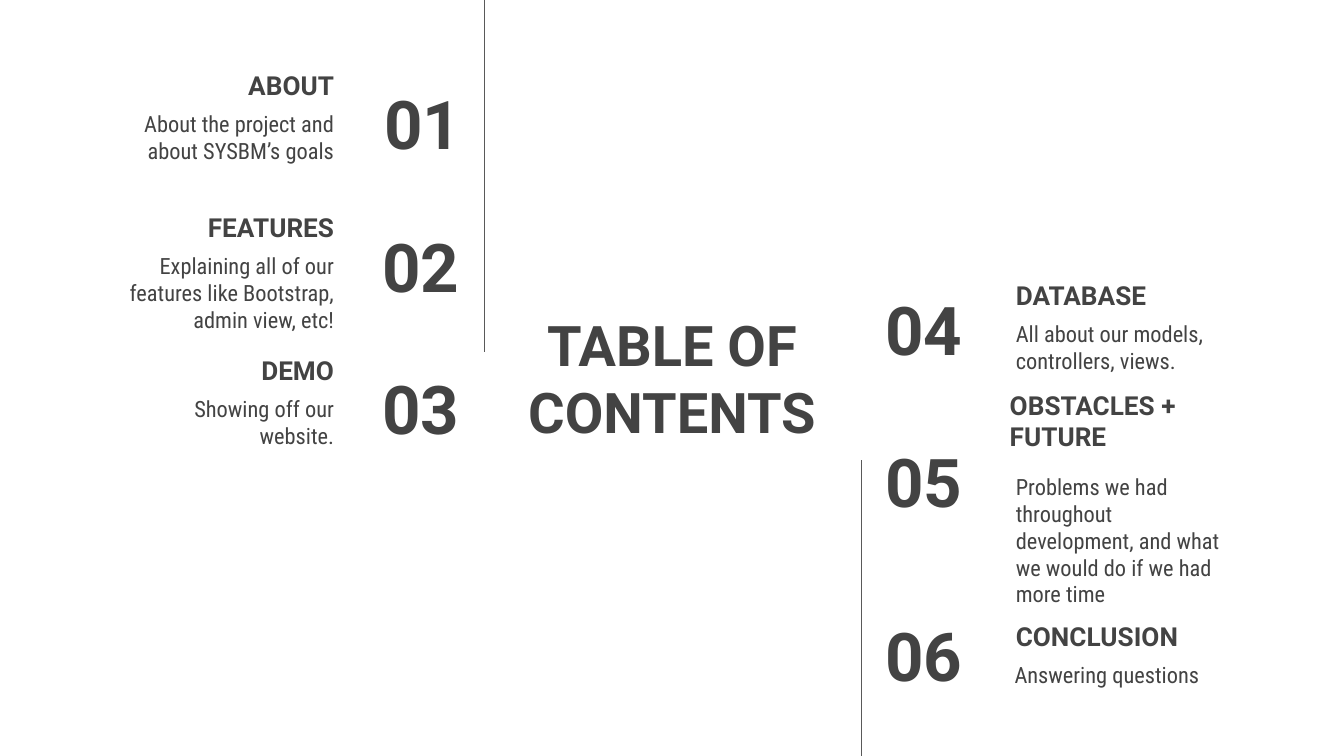
from lxml import etree
from pptx import Presentation
from pptx.dml.color import RGBColor
from pptx.enum.shapes import MSO_CONNECTOR
from pptx.enum.text import MSO_ANCHOR, MSO_AUTO_SIZE, PP_ALIGN
from pptx.oxml.ns import qn
from pptx.util import Pt

PX = 4572  # EMU per px, 200 px to the inch
WIDTH, HEIGHT = 2000, 1125
INSET = 20
BOX_HEIGHT = 126
HEADING_WIDTH = 431
DESCRIPTION_WIDTH = 362

INK = RGBColor(0x43, 0x43, 0x43)
RULE = RGBColor(0x59, 0x59, 0x59)
WHITE = RGBColor(0xFF, 0xFF, 0xFF)

LEFT_TOP, LEFT_STEP, LEFT_EDGE = 44, 212, 517
# number, heading, description, number left
LEFT_ENTRIES = [
    ("01", "ABOUT", "About the project and about SYSBM’s goals", 464),
    ("02", "FEATURES",
     "Explaining all of our features like Bootstrap, admin view, etc!", 461),
    ("03", "DEMO", "Showing off our website.", 461),
]
# number, heading, description, lefts of heading and description, then the three tops
RIGHT_ENTRIES = [
    ("04", "DATABASE", "All about our models, controllers, views.",
     1492, 1492, 426, 356, 457),
    ("05", "OBSTACLES + FUTURE",
     "Problems we had throughout development, and what we would do if we had more time",
     1483, 1492, 652, 567, 684),
    ("06", "CONCLUSION", "Answering questions", 1492, 1490, 912, 864, 964),
]


def format_text(shape, text, size, alignment, anchor, font_name="Roboto", bold=True):
    frame = shape.text_frame
    frame.text = text
    frame.word_wrap = True
    frame.auto_size = MSO_AUTO_SIZE.NONE
    frame.vertical_anchor = anchor
    frame.margin_left = frame.margin_right = INSET * PX
    frame.margin_top = frame.margin_bottom = INSET * PX
    paragraph = frame.paragraphs[0]
    paragraph.alignment = alignment
    paragraph.font.name = font_name
    paragraph.font.size = Pt(size)
    paragraph.font.bold = bold
    paragraph.font.color.rgb = INK


def add_title(slide, text):
    title = slide.shapes.title
    title.left, title.top = 741 * PX, 459 * PX
    title.width, title.height = 518 * PX, 206 * PX
    format_text(title, text, 30, PP_ALIGN.CENTER, MSO_ANCHOR.MIDDLE)


def add_box(slide, left, top, width):
    return slide.shapes.add_textbox(left * PX, top * PX, width * PX, BOX_HEIGHT * PX)


def add_number(slide, text, left, top, width, alignment):
    box = add_box(slide, left, top, width)
    format_text(box, text, 36, alignment, MSO_ANCHOR.MIDDLE)


def add_heading(slide, text, left, top, alignment):
    box = add_box(slide, left, top, HEADING_WIDTH)
    format_text(box, text, 14, alignment, MSO_ANCHOR.BOTTOM)


def add_description(slide, text, left, top, alignment):
    box = add_box(slide, left, top, DESCRIPTION_WIDTH)
    format_text(box, text, 12, alignment, MSO_ANCHOR.TOP, "Roboto Condensed", False)


def add_vertical_rule(slide, x, top, bottom):
    rule = slide.shapes.add_connector(
        MSO_CONNECTOR.STRAIGHT, x * PX, top * PX, x * PX, bottom * PX)
    rule.line.color.rgb = RULE
    rule.line.width = Pt(0.75)
    etree.SubElement(rule._element.spPr, qn("a:effectLst"))


def main():
    presentation = Presentation()
    presentation.slide_width, presentation.slide_height = WIDTH * PX, HEIGHT * PX
    slide = presentation.slides.add_slide(presentation.slide_layouts[5])
    slide.background.fill.solid()
    slide.background.fill.fore_color.rgb = WHITE

    add_title(slide, "TABLE OF CONTENTS")
    add_vertical_rule(slide, 721, 0, 524)
    add_vertical_rule(slide, 1282, 685, HEIGHT)

    for index, (number, heading, description, number_left) in enumerate(LEFT_ENTRIES):
        top = LEFT_TOP + index * LEFT_STEP
        add_heading(slide, heading, LEFT_EDGE - HEADING_WIDTH, top, PP_ALIGN.RIGHT)
        add_description(slide, description, LEFT_EDGE - DESCRIPTION_WIDTH, top + 100,
                        PP_ALIGN.RIGHT)
        add_number(slide, number, number_left, top + 76, 242, PP_ALIGN.RIGHT)

    for (number, heading, description, heading_left, description_left,
         number_top, heading_top, description_top) in RIGHT_ENTRIES:
        add_number(slide, number, 1298, number_top, 234, PP_ALIGN.LEFT)
        add_heading(slide, heading, heading_left, heading_top, PP_ALIGN.LEFT)
        add_description(slide, description, description_left, description_top,
                        PP_ALIGN.LEFT)

    presentation.save("out.pptx")


if __name__ == "__main__":
    main()
